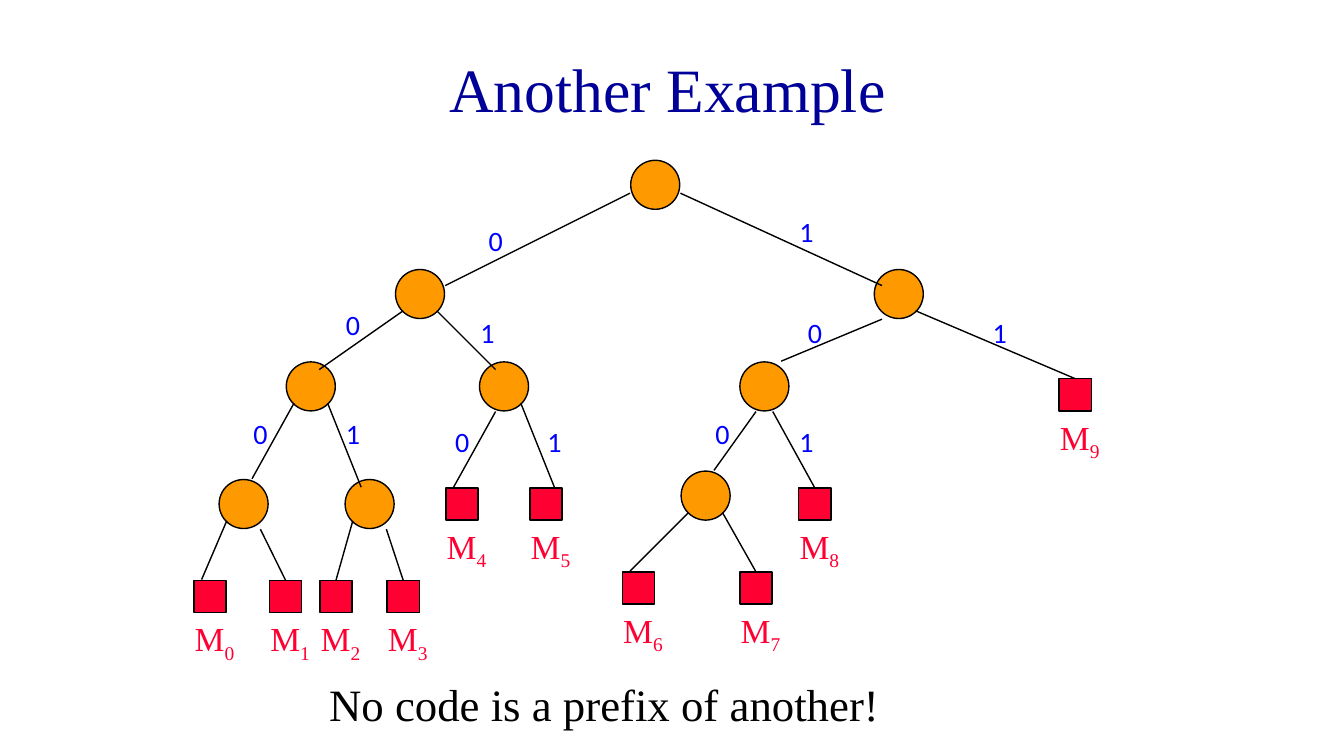
from dataclasses import dataclass

from lxml import etree
from pptx import Presentation
from pptx.dml.color import RGBColor as RGB
from pptx.enum.shapes import MSO_CONNECTOR as CONN, MSO_SHAPE as SHAPE
from pptx.enum.text import MSO_ANCHOR as ANCHOR, PP_ALIGN as ALIGN
from pptx.oxml.ns import qn
from pptx.util import Pt


@dataclass(frozen=True)
class Theme:
    serif: str = "Times New Roman"
    sans: str = "Calibri"
    title: RGB = RGB(0x00, 0x00, 0x99)
    ink: RGB = RGB(0x00, 0x00, 0x00)
    node: RGB = RGB(0xFF, 0x99, 0x00)
    leaf: RGB = RGB(0xFF, 0x00, 0x33)
    bit: RGB = RGB(0x00, 0x00, 0xFF)
    title_size: int = 44
    caption_size: int = 32
    leaf_size: int = 24
    bit_size: int = 20
    line: int = 1


T = Theme()
UNIT = 6
INSET = 0.5

NODES = {
    "": (53, 0), "0": (25, 13), "1": (82, 13),
    "00": (12, 24), "01": (35, 24), "10": (66, 24),
    "000": (4, 38), "001": (19, 38), "100": (59, 37),
}
LEAVES = {
    "0000": (1, 50), "0001": (10, 50), "0010": (16, 50), "0011": (24, 50),
    "010": (31, 39), "011": (41, 39), "1000": (52, 49), "1001": (66, 49),
    "101": (73, 39), "11": (104, 26),
}
EDGES = {
    "0": ((53, 4), (31, 15)), "1": ((59, 4), (83, 15)),
    "00": ((26, 18), (16, 25)), "01": ((30, 18), (37, 25)),
    "10": ((83, 19), (71, 24)), "11": ((87, 18), (106, 26)),
    "000": ((13, 29), (8, 38)), "001": ((17, 29), (21, 39)),
    "010": ((37, 30), (32, 39)), "011": ((40, 29), (44, 39)),
    "100": ((68, 30), (63, 37)), "101": ((70, 30), (75, 39)),
    "0000": ((5, 43), (2, 50)), "0001": ((9, 44), (12, 50)),
    "0010": ((20, 43), (18, 50)), "0011": ((24, 44), (26, 50)),
    "1000": ((60, 42), (53, 49)), "1001": ((64, 42), (68, 49)),
}
BITS = {
    "0": (35, 7), "1": (72, 6), "00": (18, 17), "01": (34, 18),
    "10": (73, 18), "11": (95, 18), "000": (7, 30), "001": (18, 30),
    "010": (31, 31), "011": (42, 31), "100": (62, 30), "101": (72, 31),
}


def add_run(p, text, font, size, color):
    r = p.add_run()
    r.text = text
    r.font.name, r.font.size = font, Pt(size)
    r.font.color.rgb = color
    return r


def add_text(s, box, text, font, size, color, align=ALIGN.LEFT, anchor=ANCHOR.TOP):
    tf = s.shapes.add_textbox(*map(Pt, box)).text_frame
    tf.word_wrap = True
    tf.vertical_anchor = anchor
    p = tf.paragraphs[0]
    p.alignment = align
    add_run(p, text, font, size, color)
    return p


def add_mark(s, kind, x, y, units, fill):
    side = units * UNIT - 2 * INSET
    sp = s.shapes.add_shape(kind, Pt(x + INSET), Pt(y + INSET), Pt(side), Pt(side))
    sp.shadow.inherit = False
    sp.fill.solid()
    sp.fill.fore_color.rgb = fill
    sp.line.color.rgb = T.ink
    sp.line.width = Pt(T.line)
    return sp


def add_edge(s, start, end):
    line = s.shapes.add_connector(CONN.STRAIGHT, *map(Pt, (*start, *end)))
    line.line.color.rgb = T.ink
    line.line.width = Pt(T.line)
    etree.SubElement(line._element.spPr, qn("a:effectLst"))
    return line


def add_title(s, box):
    add_text(s, box, "Another Example", T.serif, T.title_size, T.title,
             ALIGN.CENTER, ANCHOR.MIDDLE)


def add_caption(s, box):
    add_text(s, box, "No code is a prefix of another!", T.serif,
             T.caption_size, T.ink)


def add_tree(s, box):
    left, top = box

    def at(point):
        return left + point[0] * UNIT, top + point[1] * UNIT

    for point in NODES.values():
        add_mark(s, SHAPE.OVAL, *at(point), 6, T.node)
    squares = {code: add_mark(s, SHAPE.RECTANGLE, *at(point), 4, T.leaf)
               for code, point in LEAVES.items()}

    for code, (start, end) in EDGES.items():
        line = add_edge(s, at(start), at(end))
        if code in LEAVES and end == (LEAVES[code][0] + 2, LEAVES[code][1]):
            line.end_connect(squares[code], 0)

    for code, point in BITS.items():
        add_text(s, (*at(point), 36, 31), code[-1], T.sans, T.bit_size, T.bit)

    for i, (x, y) in enumerate(LEAVES.values()):
        p = add_text(s, (*at((x - 1, y + 4)), 48, 36), "M", T.serif,
                     T.leaf_size, T.leaf)
        r = add_run(p, str(i), T.serif, T.leaf_size, T.leaf)
        r.font._element.set("baseline", "-25000")


def main():
    prs = Presentation()
    prs.slide_width, prs.slide_height = Pt(960), Pt(540)
    s = prs.slides.add_slide(prs.slide_layouts[6])
    add_title(s, (126, 18, 702, 90))
    add_caption(s, (228, 480, 474, 46))
    add_tree(s, (132, 114))
    prs.save("out.pptx")


if __name__ == "__main__":
    main()
